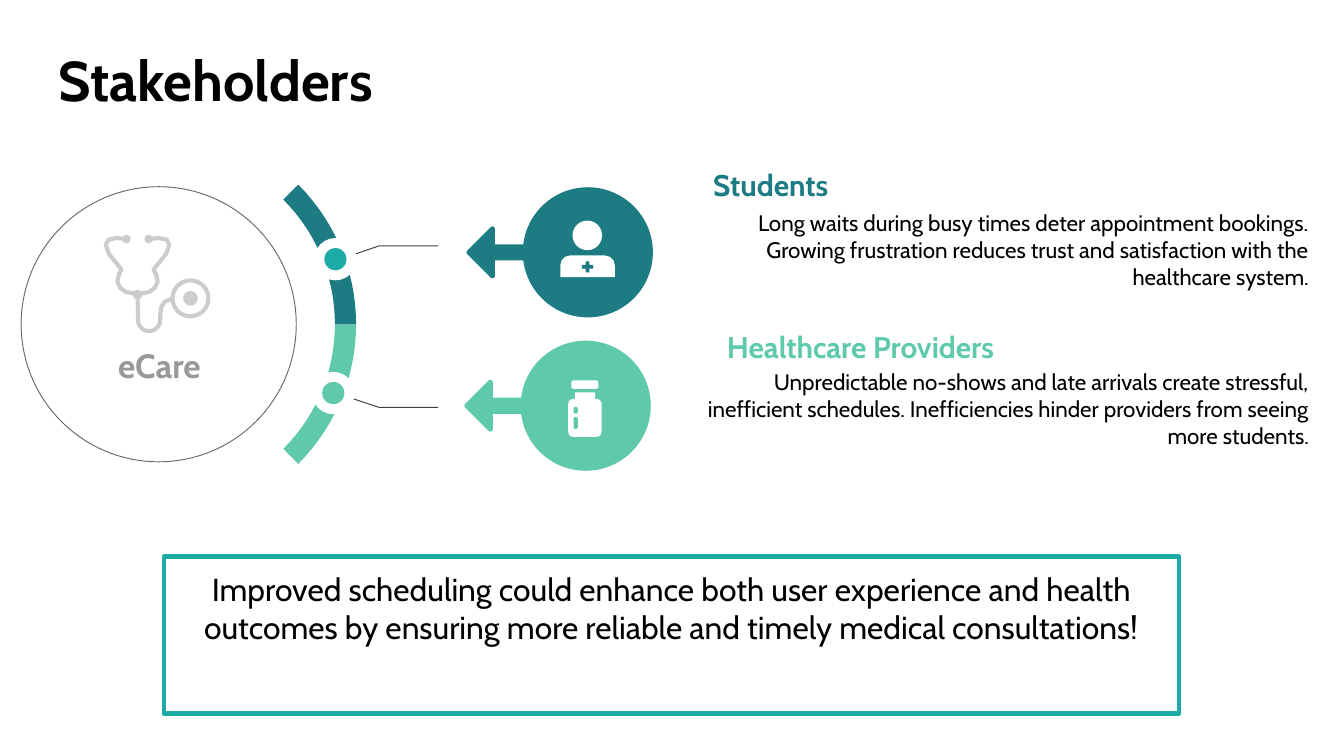
from math import cos, radians, sin

from lxml.etree import SubElement
from pptx import Presentation
from pptx.dml.color import RGBColor
from pptx.enum.shapes import MSO_SHAPE as Preset
from pptx.enum.text import MSO_ANCHOR as Anchor, PP_ALIGN as Align
from pptx.oxml.ns import qn
from pptx.util import Cm, Pt

COLORS = {"teal": "1C7B83", "mint": "5FCAAB", "aqua": "1DABA8", "white": "FFFFFF",
          "black": "000000", "leader": "444040", "ring": "6A6A69",
          "icon": "CCCCCC", "label": "999999"}


def paint(shape, fill=None, line=None, width=0.52):
    """Set fill and line by colour name; None leaves that part empty."""
    shape.shadow.inherit = False
    if fill:
        shape.fill.solid()
        shape.fill.fore_color.rgb = RGBColor.from_string(COLORS[fill])
    else:
        shape.fill.background()
    if line:
        shape.line.color.rgb = RGBColor.from_string(COLORS[line])
        shape.line.width = Pt(width)
        SubElement(shape.line._ln, qn("a:round"))
    else:
        shape.line.fill.background()


def trace(points, closed=False):
    """Build a freeform through points given in centimetres."""
    corners = [(Cm(x), Cm(y)) for x, y in points]
    builder = page.shapes.build_freeform(*corners[0], scale=1.0)
    builder.add_line_segments(corners[1:], close=closed)
    return builder.convert_to_shape()


deck = Presentation()
deck.slide_width, deck.slide_height = Cm(25.4), Cm(14.29)
page = deck.slides.add_slide(deck.slide_layouts[6])

# Leader lines and the two halves of the arc around the ring
hub_x, hub_y = 3, 6.13
for start_y, end_y in [(7.42, 7.7), (4.94, 4.65)]:
    paint(trace([(6.32, start_y), (7.16, end_y), (8.28, end_y)]), line="leader")
for first, color in [(0, "mint"), (-45, "teal")]:
    angles = [radians(first + step * 3) for step in range(16)]
    outer = [(hub_x + 3.73 * cos(a), hub_y + 3.73 * sin(a)) for a in angles]
    inner = [(hub_x + 3.33 * cos(a), hub_y + 3.33 * sin(a)) for a in angles]
    paint(trace(outer + inner[::-1], closed=True), fill=color)

# Arrows pointing from the stakeholder badges to the hub
badges = [(11.11, 4.77, "teal"), (11.07, 7.67, "mint")]
for x, y, color in badges:
    arrow = page.shapes.add_shape(Preset.LEFT_ARROW, Cm(x - 2.25), Cm(y - 0.45), Cm(1.3), Cm(0.9))
    arrow.adjustments[0], arrow.adjustments[1] = 0.24, 0.5
    paint(arrow, color, color, 2.5)

# Circles: centre, radius, fill, line, line width
circles = [
    (hub_x, hub_y, 2.6, None, "ring", 0.52),
    (6.3, 7.43, 0.4, "white", None, 0),
    (6.3, 7.43, 0.21, "mint", None, 0),
    (6.34, 4.9, 0.4, "white", None, 0),
    (6.34, 4.9, 0.21, "aqua", None, 0),
    *[(x, y, 1.23, color, None, 0) for x, y, color in badges],
    (11.1, 4.45, 0.28, "white", None, 0),
    (2.39, 4.52, 0.08, "icon", None, 0),
    (2.81, 4.52, 0.08, "icon", None, 0),
    (2.6, 5.57, 0.09, "icon", None, 0),
    (3.6, 5.64, 0.34, None, "icon", 2.2),
    (3.6, 5.64, 0.14, "icon", None, 0),
]
for x, y, radius, fill, line, width in circles:
    circle = page.shapes.add_shape(
        Preset.OVAL, Cm(x - radius), Cm(y - radius), Cm(2 * radius), Cm(2 * radius))
    paint(circle, fill, line, width)

# Stethoscope: mirrored headset, then the tube
left_side = [(2.39, 4.52), (2.21, 4.5), (2.05, 4.53), (2, 4.63), (2.06, 4.8), (2.3, 5.1),
             (2.25, 5.18), (2.22, 5.32), (2.27, 5.44), (2.38, 5.52), (2.6, 5.56)]
right_side = [(5.2 - x, y) for x, y in left_side[::-1]]
bend = [(2.82 + 0.21 * cos(radians(a)), 6.05 + 0.21 * sin(radians(a)))
        for a in range(180, -1, -15)]
tube = [(2.6, 5.56), *bend, (3.03, 5.95), (3.05, 5.8), (3.12, 5.7), (3.27, 5.64)]
for points in [left_side + right_side[1:], tube]:
    paint(trace(points), line="icon", width=2.2)

# Doctor and medicine bottle: preset, left, top, width, height, fill, corner
icon_parts = [
    (Preset.ROUND_2_SAME_RECTANGLE, 10.59, 4.83, 1.03, 0.41, "white", 0.45),
    (Preset.CROSS, 11, 4.94, 0.21, 0.21, "teal", 0.33),
    (Preset.ROUNDED_RECTANGLE, 10.74, 7.54, 0.63, 0.72, "white", 0.15),
    (Preset.RECTANGLE, 10.87, 7.42, 0.38, 0.15, "white", None),
    (Preset.ROUNDED_RECTANGLE, 10.8, 7.19, 0.51, 0.16, "white", 0.25),
    (Preset.ROUNDED_RECTANGLE, 10.84, 7.69, 0.08, 0.13, "mint", 0.5),
    (Preset.ROUNDED_RECTANGLE, 10.84, 7.88, 0.08, 0.23, "mint", 0.5),
]
for preset, x, y, width, height, fill, corner in icon_parts:
    part = page.shapes.add_shape(preset, Cm(x), Cm(y), Cm(width), Cm(height))
    if corner:
        part.adjustments[0] = corner
    paint(part, fill)

# Texts: left, top, width, height, size, bold, colour, alignment, wording
texts = [
    (0.41, 6.27, 5.21, 1.37, 18, True, "label", Align.CENTER, "eCare"),
    (13, 3.71, 11.99, 1.85, 12, False, "black", Align.RIGHT,
     "Long waits during busy times deter appointment bookings. Growing frustration "
     "reduces trust and satisfaction with the healthcare system."),
    (13, 6.71, 11.99, 1.85, 12, False, "black", Align.RIGHT,
     "Unpredictable no-shows and late arrivals create stressful, inefficient schedules. "
     "Inefficiencies hinder providers from seeing more students."),
    (0.86, 0.61, 23.67, 1.6, 30, True, "black", Align.LEFT, "Stakeholders"),
    (13.23, 2.9, 6.88, 1.55, 16, True, "teal", Align.LEFT, "Students"),
    (13.49, 5.97, 11.15, 1.55, 16, True, "mint", Align.LEFT, "Healthcare Providers"),
    (3.1, 10.52, 19.18, 2.97, 17, False, "black", Align.CENTER,
     "Improved scheduling could enhance both user experience and health outcomes by "
     "ensuring more reliable and timely medical consultations!"),
]
for x, y, width, height, size, bold, color, align, wording in texts:
    place = Cm(x), Cm(y), Cm(width), Cm(height)
    if size == 17:
        box = page.shapes.add_shape(Preset.RECTANGLE, *place)
        paint(box, line="aqua", width=2.25)
    else:
        box = page.shapes.add_textbox(*place)
    frame = box.text_frame
    frame.word_wrap = True
    frame.vertical_anchor = Anchor.TOP
    frame.margin_left = frame.margin_right = frame.margin_top = frame.margin_bottom = Cm(0.25)
    para = frame.paragraphs[0]
    para.text = wording
    para.alignment = align
    para.font.name, para.font.size, para.font.bold = "Cabin", Pt(size), bold
    para.font.color.rgb = RGBColor.from_string(COLORS[color])

deck.save("out.pptx")
